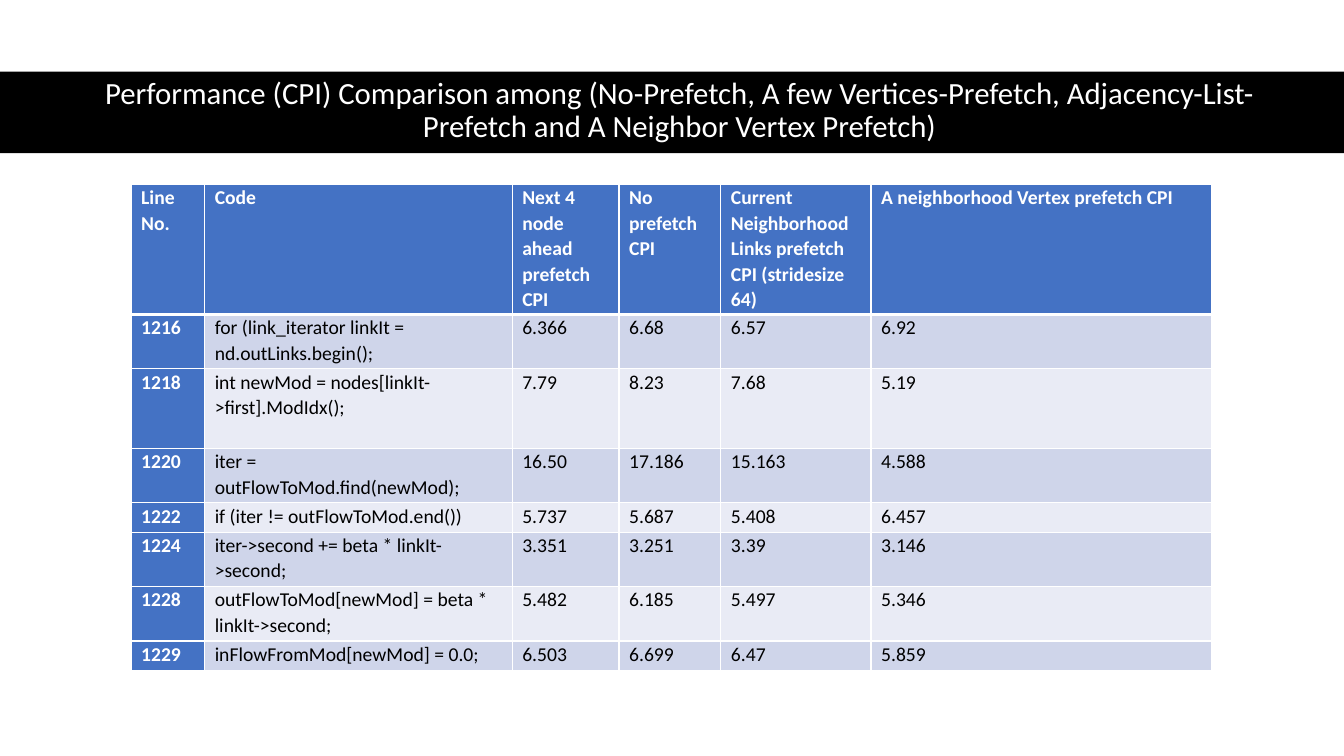
from dataclasses import dataclass

import pptx
import pptx.dml.color
import pptx.enum.shapes
import pptx.enum.text
import pptx.oxml
import pptx.oxml.ns
import pptx.util

PX = 9144  # EMU per px, 100 px to the inch


@dataclass(frozen=True)
class Theme:
    font: str = "Calibri"
    title_size: int = 22
    table_size: int = 14
    white: str = "FFFFFF"
    black: str = "000000"
    accent: str = "4472C4"
    bands: tuple = ("CFD5EA", "E9EBF5")


TITLE = ("Performance (CPI) Comparison among (No-Prefetch, A few Vertices-Prefetch, "
         "Adjacency-List-Prefetch and A Neighbor Vertex Prefetch)")
COLUMN_WIDTHS = [73, 305, 106, 101, 149, 338]
ROW_HEIGHTS = [129, 54, 79, 54, 29, 54, 54, 29]
CPI_ROWS = [
    ["Line No.", "Code", "Next 4 node ahead prefetch CPI", "No prefetch CPI",
     "Current Neighborhood Links prefetch CPI (stridesize 64)",
     "A neighborhood Vertex prefetch CPI"],
    ["1216", "for (link_iterator linkIt = nd.outLinks.begin();",
     "6.366", "6.68", "6.57", "6.92"],
    ["1218", "int newMod = nodes[linkIt->first].ModIdx();",
     "7.79", "8.23", "7.68", "5.19"],
    ["1220", "iter = outFlowToMod.find(newMod);",
     "16.50", "17.186", "15.163", "4.588"],
    ["1222", "if (iter != outFlowToMod.end())",
     "5.737", "5.687", "5.408", "6.457"],
    ["1224", "iter->second += beta * linkIt->second;",
     "3.351", "3.251", "3.39", "3.146"],
    ["1228", "outFlowToMod[newMod] = beta * linkIt->second;",
     "5.482", "6.185", "5.497", "5.346"],
    ["1229", "inFlowFromMod[newMod] = 0.0;",
     "6.503", "6.699", "6.47", "5.859"],
]


def rgb(color):
    return pptx.dml.color.RGBColor.from_string(color)


def set_all(target, values):
    for name, value in values.items():
        setattr(target, name, value)


class SlideBuilder:
    def __init__(self, s, theme):
        self.s = s
        self.theme = theme

    def add_text(self, tf, text, size, color, spacing, bold=False, align=None):
        p = tf.paragraphs[0]
        set_all(p, {"line_spacing": spacing, "alignment": align})
        r = p.add_run()
        r.text = text
        set_all(r.font, {"name": self.theme.font, "size": pptx.util.Pt(size), "bold": bold})
        r.font.color.rgb = rgb(color)

    def bar(self, x, y, w, h, color):
        sp = self.s.shapes.add_shape(pptx.enum.shapes.MSO_SHAPE.RECTANGLE,
                                     x * PX, y * PX, w * PX, h * PX)
        sp.shadow.inherit = False
        sp.fill.solid()
        sp.fill.fore_color.rgb = rgb(color)
        sp.line.fill.background()

    def title(self, x, y, w, h, text):
        tf = self.s.shapes.add_textbox(x * PX, y * PX, w * PX, h * PX).text_frame
        set_all(tf, {"word_wrap": True,
                     "vertical_anchor": pptx.enum.text.MSO_ANCHOR.MIDDLE})
        self.add_text(tf, text, self.theme.title_size, self.theme.white, 0.9,
                      align=pptx.enum.text.PP_ALIGN.CENTER)

    def borders(self, cell, widths):
        """Draw cell edges; widths maps L, R, T and B to points."""
        tc_pr = cell._tc.get_or_add_tcPr()
        for side, width in widths.items():
            tc_pr.append(pptx.oxml.parse_xml(
                f'<a:ln{side} {pptx.oxml.ns.nsdecls("a")} w="{pptx.util.Pt(width)}">'
                f'<a:solidFill><a:srgbClr val="{self.theme.white}"/></a:solidFill>'
                f'</a:ln{side}>'))

    def table(self, x, y, widths, heights, rows):
        """Place a table with a header row, a header column and banded rows."""
        th = self.theme
        table = self.s.shapes.add_table(len(rows), len(widths), x * PX, y * PX,
                                        sum(widths) * PX, sum(heights) * PX).table
        table.first_col = True
        for column, width in zip(table.columns, widths):
            column.width = width * PX
        for row, height in zip(table.rows, heights):
            row.height = height * PX
        for i, texts in enumerate(rows):
            for j, text in enumerate(texts):
                cell = table.cell(i, j)
                heading = i == 0 or j == 0
                set_all(cell, {"margin_left": 10 * PX, "margin_right": 10 * PX,
                               "margin_top": 0, "margin_bottom": 0})
                self.borders(cell, {"L": 1, "R": 1, "T": 3 if i == 1 else 1,
                                    "B": 3 if i == 0 else 1})
                cell.fill.solid()
                cell.fill.fore_color.rgb = rgb(th.accent if heading else th.bands[(i - 1) % 2])
                self.add_text(cell.text_frame, text, th.table_size,
                              th.white if heading else th.black, 1.07, bold=heading)


def main():
    prs = pptx.Presentation()
    set_all(prs, {"slide_width": 1333 * PX, "slide_height": 750 * PX})
    theme = Theme()
    builder = SlideBuilder(prs.slides.add_slide(prs.slide_layouts[6]), theme)
    builder.bar(0, 71, 1333, 81, theme.black)
    builder.title(61, 70, 1226, 81, TITLE)
    builder.table(130, 183, COLUMN_WIDTHS, ROW_HEIGHTS, CPI_ROWS)
    prs.save("out.pptx")


if __name__ == "__main__":
    main()
